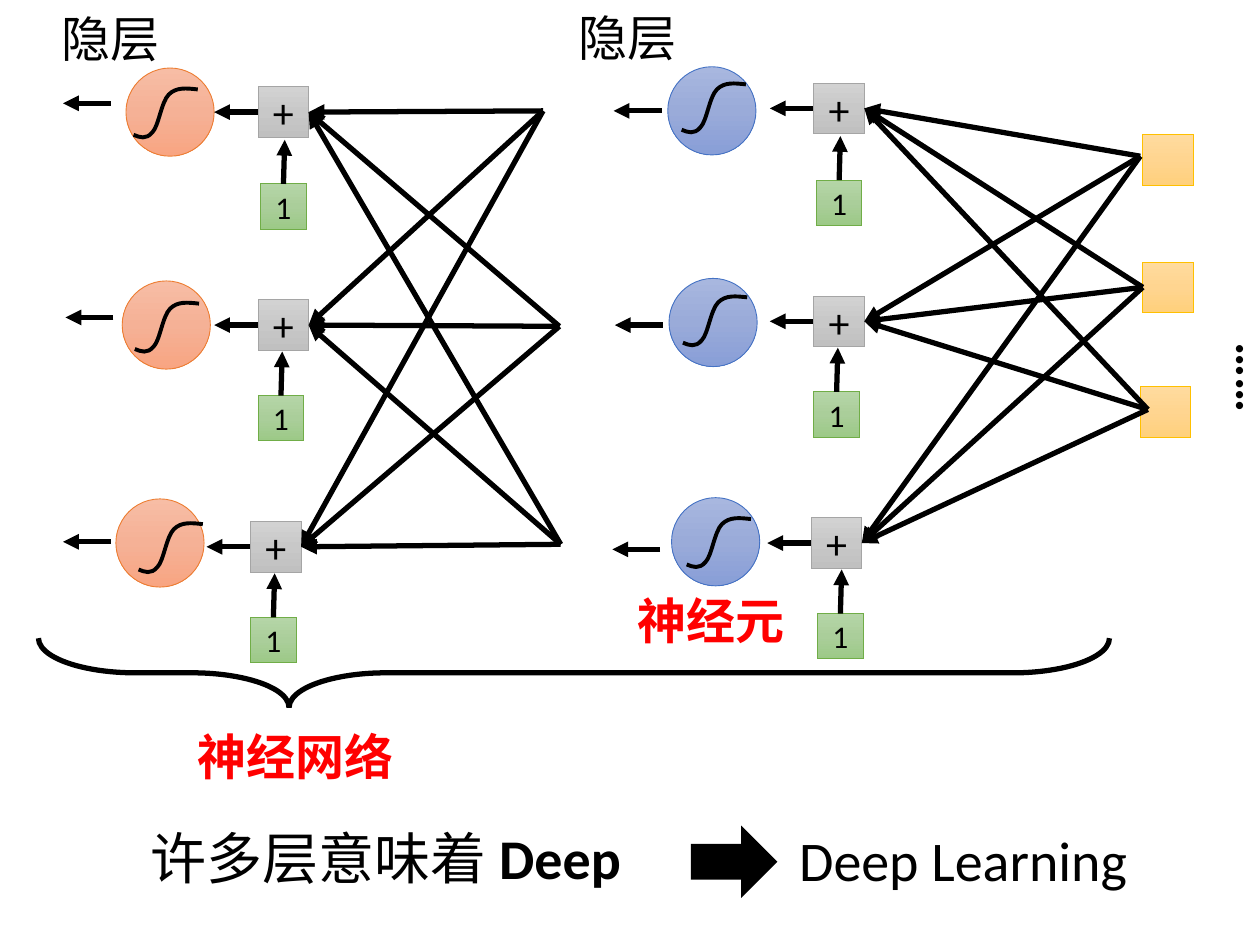
from copy import deepcopy

from pptx import Presentation
from pptx.dml.color import RGBColor
from pptx.enum.shapes import MSO_CONNECTOR, MSO_SHAPE as Shape
from pptx.enum.text import MSO_ANCHOR, MSO_AUTO_SIZE, PP_ALIGN as Align
from pptx.oxml.ns import qn
from pptx.oxml.xmlchemy import OxmlElement
from pptx.util import Inches, Pt

BLACK, RED = RGBColor(0, 0, 0), RGBColor(0xFF, 0, 0)


def palette(*codes):
    return [RGBColor.from_string(code) for code in codes]


# Three gradient stops, then the outline
BLUE = palette("A8B7DF", "9AABD9", "889ED7", "4472C4")
ORANGE = palette("F7BDA5", "F5B196", "F8A582", "ED7D31")
GRAY = palette("D2D2D2", "C8C8C8", "C0C0C0", "A5A5A5")
GREEN = palette("B5D5A7", "AACE9A", "9CC987", "70AD47")
YELLOW = palette("FFDB9E", "FFD590", "FFD07C", "FFC000")

NEURON, SUM, BIAS, INPUT = 0.7, 0.4, 0.36, 0.4  # sizes of the parts

# Each neuron: circle, sum box and bias box corners, curve start, output arrow tail
LAYERS = [
    {"color": BLUE,
     "neurons": [
         ((5.3, 0.53), (6.46, 0.66), (6.48, 1.43), (5.92, 0.67), (5.25, 0.88)),
         ((5.31, 2.21), (6.46, 2.35), (6.46, 3.11), (5.93, 2.36), (5.26, 2.58)),
         ((5.33, 3.95), (6.44, 4.11), (6.49, 4.87), (5.96, 4.12), (5.24, 4.36))],
     "sources": [(9.05, 1.24), (9.07, 2.28), (9.11, 3.25)],
     "inputs": [(9.07, 1.07), (9.07, 2.08), (9.05, 3.07)]},
    {"color": ORANGE,
     "neurons": [
         ((1, 0.54), (2.05, 0.69), (2.07, 1.46), (1.57, 0.71), (0.88, 0.82)),
         ((0.97, 2.23), (2.05, 2.38), (2.05, 3.14), (1.58, 2.41), (0.9, 2.52)),
         ((0.92, 3.96), (1.99, 4.14), (1.99, 4.9), (1.61, 4.16), (0.88, 4.3))],
     "sources": [(4.31, 0.88), (4.44, 2.59), (4.45, 4.32)],
     "inputs": []},
]

# Sigmoid from its upper right end: the start, then three Bezier pieces
SIGMOID = [
    (0, 0),
    (-0.09, -0.01), (-0.17, -0.02), (-0.23, 0.04),
    (-0.29, 0.1), (-0.31, 0.29), (-0.36, 0.34),
    (-0.41, 0.4), (-0.46, 0.38), (-0.51, 0.36),
]

# Box, alignment, size, colour, rotation, runs of (text, bold)
LABELS = [
    ((9.22, 2.71, 0.98, 0.57), Align.CENTER, 28, BLACK, 270, [("……", True)]),
    ((4.65, 4.64, 2.07, 0.57), Align.CENTER, 28, RED, 0, [("神经元 ", True)]),
    ((0.19, 5.72, 4.4, 0.57), Align.CENTER, 28, RED, 0, [("神经网络 ", True)]),
    ((0.15, 6.49, 5.82, 0.64), Align.CENTER, 32, BLACK, 0,
     [("许多层意味着 ", False), ("Deep", True)]),
    ((4.49, 0.01, 2.6, 0.57), Align.LEFT, 28, BLACK, 0, [("隐层", False)]),
    ((0.39, 0.02, 2.6, 0.57), Align.LEFT, 28, BLACK, 0, [("隐层", False)]),
    ((6.02, 6.5, 3.25, 0.64), Align.CENTER, 32, BLACK, 0, [("Deep Learning", False)]),
]

prs = Presentation()
prs.slide_width, prs.slide_height = Inches(10), Inches(7.5)
shapes = prs.slides.add_slide(prs.slide_layouts[6]).shapes


def add_run(paragraph, text, size, color, bold=False):
    run = paragraph.add_run()
    run.text = text
    run.font.name, run.font.size, run.font.bold = "Calibri", Pt(size), bold
    run.font.color.rgb = color


def set_outline(part, color, width):
    part.line.color.rgb, part.line.width = color, Pt(width)
    join = OxmlElement("a:miter")
    join.set("lim", "800000")
    part.line._get_or_add_ln().append(join)


def add_node(kind, corner, size, colors, text="", text_size=18):
    node = shapes.add_shape(kind, *map(Inches, (*corner, size, size)))
    node.shadow.inherit = False
    node.fill.gradient()
    node.fill.gradient_angle = 270
    stops = node._element.spPr.find(qn("a:gradFill")).find(qn("a:gsLst"))
    middle = deepcopy(stops[0])
    middle.set("pos", "50000")
    stops.insert(1, middle)
    for stop, color in zip(node.fill.gradient_stops, colors):
        stop.color.rgb = color
    set_outline(node, colors[3], 0.5)
    if text:
        node.text_frame.vertical_anchor = MSO_ANCHOR.MIDDLE
        paragraph = node.text_frame.paragraphs[0]
        paragraph.alignment = Align.CENTER
        add_run(paragraph, text, text_size, BLACK)
    return node


def add_arrow(start, end, begin_joint=None, end_joint=None):
    arrow = shapes.add_connector(MSO_CONNECTOR.STRAIGHT, *map(Inches, (*start, *end)))
    if begin_joint:
        arrow.begin_connect(*begin_joint)
    if end_joint:
        arrow.end_connect(*end_joint)
    set_outline(arrow, BLACK, 3)
    head = OxmlElement("a:tailEnd")
    head.set("type", "triangle")
    arrow.line._get_or_add_ln().append(head)
    arrow._element.spPr.append(OxmlElement("a:effectLst"))


def add_sigmoid(x, y):
    points = [(Inches(x + dx), Inches(y + dy)) for dx, dy in SIGMOID]
    builder = shapes.build_freeform(*points[0])
    builder.add_line_segments(points[1:], close=False)
    curve = builder.convert_to_shape()
    # Turn every three line segments into one Bezier piece
    segments = list(curve._element.spPr.iter(qn("a:lnTo")))
    outline = segments[0].getparent()
    for first in range(0, len(segments), 3):
        bezier = OxmlElement("a:cubicBezTo")
        for segment in segments[first:first + 3]:
            bezier.append(segment[0])
            outline.remove(segment)
        outline.append(bezier)
    curve.shadow.inherit = False
    curve.fill.background()
    set_outline(curve, BLACK, 2.25)


# Layers of neurons with their weights
for layer in LAYERS:
    inputs = [add_node(Shape.RECTANGLE, corner, INPUT, YELLOW) for corner in layer["inputs"]]
    for circle, (sum_x, sum_y), bias_at, curve_start, (out_x, out_y) in layer["neurons"]:
        middle_y = sum_y + SUM / 2
        add_node(Shape.OVAL, circle, NEURON, layer["color"])
        add_arrow((sum_x + 0.28, middle_y), (sum_x - 0.35, middle_y))
        adder = add_node(Shape.RECTANGLE, (sum_x, sum_y), SUM, GRAY, "+", 24)
        bias = add_node(Shape.RECTANGLE, bias_at, BIAS, GREEN, "1")
        bias_x = bias_at[0] + BIAS / 2
        add_arrow((bias_x, bias_at[1]), (bias_x + 0.01, bias_at[1] - 0.35), (bias, 0))
        add_arrow((out_x, out_y), (out_x - 0.38, out_y))
        add_sigmoid(*curve_start)
        for row, source in enumerate(layer["sources"]):
            joint = (inputs[row], 1) if inputs and row == 1 else None
            add_arrow(source, (sum_x + SUM, middle_y), joint, (adder, 3))

# Brace under the network
brace = shapes.add_shape(Shape.RIGHT_BRACE, *map(Inches, (4.28, 1.09, 0.55, 8.5)))
brace.rotation = 90
brace.adjustments[0], brace.adjustments[1] = 1.397, 0.766
brace.shadow.inherit = False
brace.fill.background()
set_outline(brace, BLACK, 3)

# Labels
for box, align, size, color, rotation, runs in LABELS:
    label = shapes.add_textbox(*map(Inches, box))
    label.rotation = rotation
    label.text_frame.word_wrap = True
    label.text_frame.auto_size = MSO_AUTO_SIZE.NONE
    paragraph = label.text_frame.paragraphs[0]
    paragraph.alignment = align
    for text, bold in runs:
        add_run(paragraph, text, size, color, bold)

# Arrow to the conclusion
conclusion = shapes.add_shape(Shape.RIGHT_ARROW, *map(Inches, (5.49, 6.57, 0.67, 0.54)))
conclusion.shadow.inherit = False
conclusion.fill.solid()
conclusion.fill.fore_color.rgb = BLACK
set_outline(conclusion, BLACK, 1)

prs.save("out.pptx")
